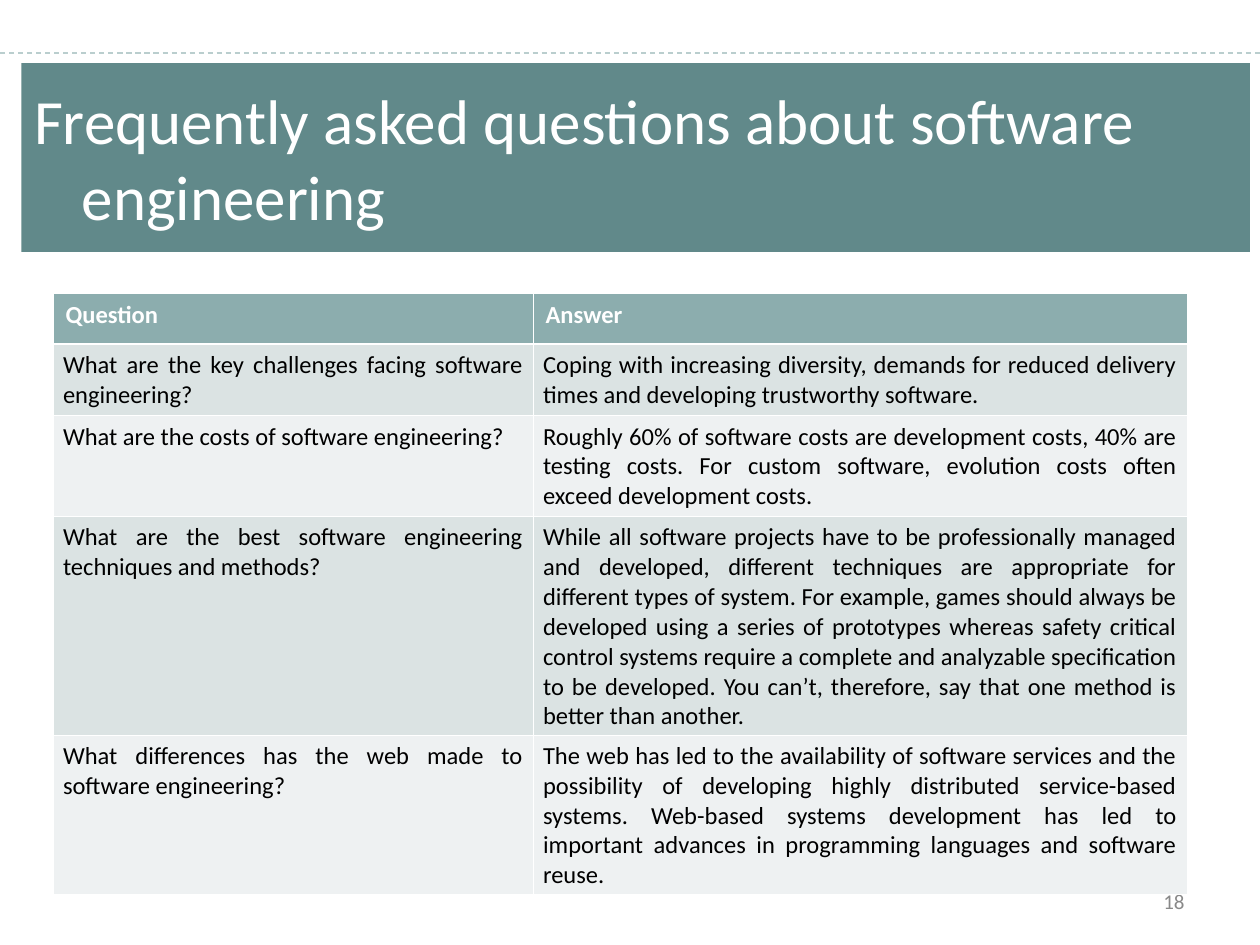
from pptx import Presentation
from pptx.dml.color import RGBColor
from pptx.enum.dml import MSO_LINE
from pptx.enum.shapes import MSO_CONNECTOR
from pptx.enum.text import MSO_ANCHOR, MSO_AUTO_SIZE, PP_ALIGN
from pptx.oxml.ns import qn
from pptx.util import Inches, Pt
from lxml.etree import SubElement

# Content
TITLE = "Frequently asked questions about software engineering"
PAGE_NUMBER = "18"
ROWS = [
    ("Question", "Answer"),
    ("What are the key challenges facing software engineering?",
     "Coping with increasing diversity, demands for reduced delivery times and "
     "developing trustworthy software."),
    ("What are the costs of software engineering?",
     "Roughly 60% of software costs are development costs, 40% are testing costs. "
     "For custom software, evolution costs often exceed development costs."),
    ("What are the best software engineering techniques and methods?",
     "While all software projects have to be professionally managed and developed, "
     "different techniques are appropriate for different types of system. For example, "
     "games should always be developed using a series of prototypes whereas safety "
     "critical control systems require a complete and analyzable specification to be "
     "developed. You can’t, therefore, say that one method is better than another."),
    ("What differences has the web made to software engineering?",
     "The web has led to the availability of software services and the possibility of "
     "developing highly distributed service-based systems. Web-based systems "
     "development has led to important advances in programming languages and "
     "software reuse."),
]

# Style
FONT = "Calibri"
WHITE = RGBColor(0xFF, 0xFF, 0xFF)
BLACK = RGBColor(0x00, 0x00, 0x00)
GREY = RGBColor(0x89, 0x89, 0x89)
TEAL = RGBColor(0x61, 0x89, 0x8A)
HEADER = RGBColor(0x8C, 0xAD, 0xAE)
BANDS = (RGBColor(0xEE, 0xF1, 0xF2), RGBColor(0xDB, 0xE3, 0xE3))
RULE = RGBColor(0xBA, 0xCE, 0xCE)
THIN, THICK = Pt(0.45), Pt(1.47)

# Layout in inches
WIDTH, HEIGHT = 10, 7.5
RULE_TOP = 0.42
TITLE_AREA = (0.17, 0.5, 9.75, 1.5)
NUMBER_AREA = (7.17, 6.95, 2.33, 0.4)
TABLE_LEFT, TABLE_TOP = 0.42, 2.33
COLUMN_WIDTHS = (3.81, 5.19)
ROW_HEIGHTS = (0.4, 0.54, 0.78, 1.71, 1.24)
HANGING = Inches(0.38)


def style(para, size, color, align=PP_ALIGN.LEFT, bold=False):
    para.alignment = align
    for span in para.runs:
        font = span.font
        font.name, font.size, font.bold = FONT, Pt(size), bold
        font.color.rgb = color


def set_borders(cell, top, bottom):
    props = cell._tc.get_or_add_tcPr()
    for side, width in (("L", THIN), ("R", THIN), ("T", top), ("B", bottom)):
        line = SubElement(props, qn(f"a:ln{side}"), w=str(int(width)))
        fill = SubElement(line, qn("a:solidFill"))
        SubElement(fill, qn("a:srgbClr"), val=str(WHITE))


deck = Presentation()
deck.slide_width, deck.slide_height = Inches(WIDTH), Inches(HEIGHT)
page = deck.slides.add_slide(deck.slide_layouts[5])

# Dashed rule across the top
rule = page.shapes.add_connector(
    MSO_CONNECTOR.STRAIGHT, 0, Inches(RULE_TOP), Inches(WIDTH), Inches(RULE_TOP))
rule.line.color.rgb = RULE
rule.line.width = Pt(0.75)
rule.line.dash_style = MSO_LINE.DASH
SubElement(rule._element.spPr, qn("a:effectLst"))

# Title band
title = page.shapes.title
title.left, title.top, title.width, title.height = map(Inches, TITLE_AREA)
title.fill.solid()
title.fill.fore_color.rgb = TEAL
frame = title.text_frame
frame.text = TITLE
frame.auto_size = MSO_AUTO_SIZE.NONE
frame.vertical_anchor = MSO_ANCHOR.MIDDLE
heading = frame.paragraphs[0]
style(heading, 36, WHITE)
indents = heading._p.get_or_add_pPr()
indents.set("marL", str(HANGING))
indents.set("indent", str(-HANGING))

# Page number, behind the table
number = page.shapes.add_textbox(*map(Inches, NUMBER_AREA)).text_frame
number.word_wrap = True
number.vertical_anchor = MSO_ANCHOR.MIDDLE
number.text = PAGE_NUMBER
style(number.paragraphs[0], 12, GREY, PP_ALIGN.RIGHT)

# Question and answer table
table = page.shapes.add_table(
    len(ROWS), len(COLUMN_WIDTHS), Inches(TABLE_LEFT), Inches(TABLE_TOP),
    Inches(sum(COLUMN_WIDTHS)), Inches(sum(ROW_HEIGHTS))).table
for column, width in zip(table.columns, COLUMN_WIDTHS):
    column.width = Inches(width)
for r, (texts, height) in enumerate(zip(ROWS, ROW_HEIGHTS)):
    table.rows[r].height = Inches(height)
    is_header = r == 0
    for c, text in enumerate(texts):
        cell = table.cell(r, c)
        cell.text = text
        cell.margin_left = cell.margin_right = Inches(0.1 if is_header else 0.08)
        cell.margin_top = cell.margin_bottom = Inches(0.05)
        set_borders(cell, THICK if r == 1 else THIN, THICK if is_header else THIN)
        cell.fill.solid()
        cell.fill.fore_color.rgb = HEADER if is_header else BANDS[r % 2]
        para = cell.text_frame.paragraphs[0]
        if is_header:
            style(para, 14, WHITE, bold=True)
        else:
            style(para, 14, BLACK, PP_ALIGN.JUSTIFY)

deck.save("out.pptx")
